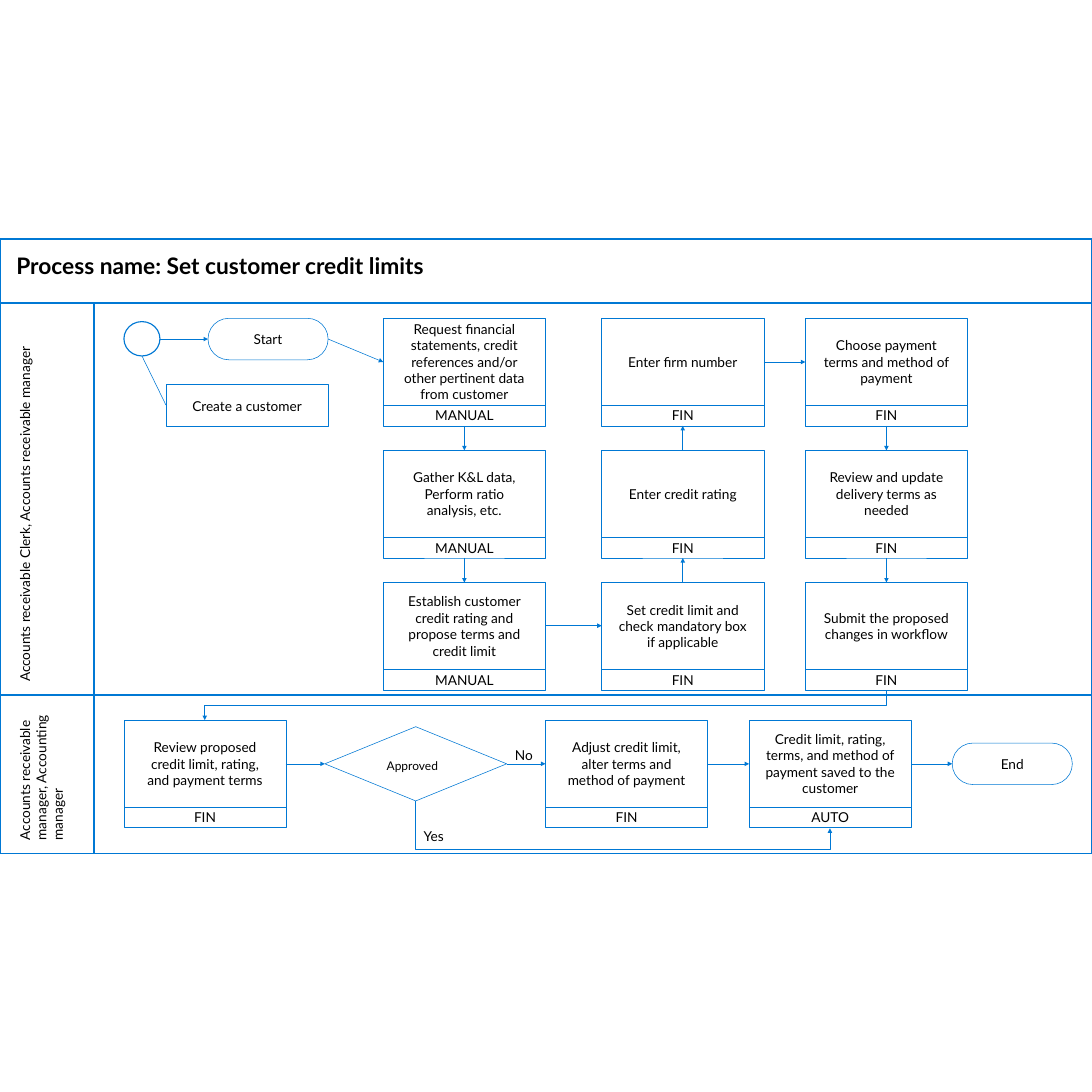
from lxml import etree
from pptx import Presentation
from pptx.dml.color import RGBColor
from pptx.enum.shapes import MSO_CONNECTOR, MSO_SHAPE
from pptx.enum.text import MSO_ANCHOR, PP_ALIGN
from pptx.oxml.ns import qn
from pptx.util import Inches, Pt

RECT, OVAL = MSO_SHAPE.RECTANGLE, MSO_SHAPE.OVAL
ROUND, DIAMOND = MSO_SHAPE.ROUNDED_RECTANGLE, MSO_SHAPE.DIAMOND
STRAIGHT, ELBOW = MSO_CONNECTOR.STRAIGHT, MSO_CONNECTOR.ELBOW
TOP, MIDDLE = MSO_ANCHOR.TOP, MSO_ANCHOR.MIDDLE
LEFT, CENTER = PP_ALIGN.LEFT, PP_ALIGN.CENTER

STEP_W, STEP_H, TAG_H = 2.97, 1.59, 0.38
BOX_H = STEP_H + TAG_H
COLUMNS = [7.02, 11.02, 14.75]
ROWS = [5.83 + 2.42 * i for i in range(3)]
REVIEW_X, ADJUST_X, SAVED_X = 2.27, 9.99, 13.72
REVIEW_Y = 13.19
MIDLINE = 13.99
LANES = [
    (5.55, 7.18, "Accounts receivable Clerk, Accounts receivable manager"),
    (12.73, 2.9, "Accounts receivable manager, Accounting manager"),
]
GRID = [
    [("Request financial statements, credit references and/or other pertinent data from customer", "MANUAL"),
     ("Enter firm number", "FIN"),
     ("Choose payment terms and method of payment", "FIN")],
    [("Gather K&L data, Perform ratio analysis, etc.", "MANUAL"),
     ("Enter credit rating", "FIN"),
     ("Review and update delivery terms as needed", "FIN")],
    [("Establish customer credit rating and propose terms and credit limit", "MANUAL"),
     ("Set credit limit and check mandatory box if applicable", "FIN"),
     ("Submit the proposed changes in workflow", "FIN")],
]
REVIEW_STEPS = [
    (REVIEW_X, "Review proposed credit limit, rating, and payment terms", "FIN"),
    (ADJUST_X, "Adjust credit limit, alter terms and method of payment", "FIN"),
    (SAVED_X, "Credit limit, rating, terms, and method of payment saved to the customer", "AUTO"),
]


class Flowchart:
    colors = {"line": "0078D4", "text": "000000"}
    font = "Lato"

    def __init__(self, slide):
        self.slide = slide

    def color(self, name):
        return RGBColor.from_string(self.colors[name])

    def add_text(self, tf, text, size, align, bold=False):
        tf.word_wrap = True
        p = tf.paragraphs[0]
        p.alignment = align
        r = p.add_run()
        r.text = text
        r.font.name = self.font
        r.font.size = Pt(size)
        r.font.bold = bold
        r.font.color.rgb = self.color("text")

    def shape(self, kind, x, y, w, h, text="", weight=0.75, size=18,
              align=CENTER, anchor=MIDDLE, bold=False, vertical=False):
        s = self.slide.shapes.add_shape(kind, Inches(x), Inches(y), Inches(w), Inches(h))
        s.shadow.inherit = False
        s.fill.background()
        s.line.color.rgb = self.color("line")
        s.line.width = Pt(weight)
        if kind == ROUND:
            s.adjustments[0] = 0.5
        if text:
            tf = s.text_frame
            tf.margin_left = tf.margin_right = Inches(0.3)
            tf.margin_top = tf.margin_bottom = Inches(0.24)
            tf.vertical_anchor = anchor
            if vertical:
                tf._txBody.bodyPr.set("vert", "vert270")
            self.add_text(tf, text, size, align, bold)

    def step(self, x, y, text, tag):
        self.shape(RECT, x, y, STEP_W, STEP_H, text)
        self.shape(RECT, x, y + STEP_H, STEP_W, TAG_H, tag)

    def line(self, x1, y1, x2, y2, arrow=True, kind=STRAIGHT):
        s = self.slide.shapes.add_connector(kind, Inches(x1), Inches(y1), Inches(x2), Inches(y2))
        s.line.color.rgb = self.color("line")
        s.line.width = Pt(0.75)
        if arrow:
            etree.SubElement(s.line._get_or_add_ln(), qn("a:tailEnd"), type="triangle")
        etree.SubElement(s._element.spPr, qn("a:effectLst"))
        return s

    def elbow(self, x1, y1, x2, y2, bend=0.5):
        cx, cy = (x1 + x2) / 2, (y1 + y2) / 2
        half_w, half_h = (y2 - y1) / 2, abs(x2 - x1) / 2
        side = 1 if x2 > x1 else -1
        s = self.line(cx + side * half_w, cy - half_h, cx - side * half_w, cy + half_h, kind=ELBOW)
        sp = s._element.spPr
        sp.find(qn("a:xfrm")).set("rot", str((270 if side > 0 else 90) * 60000))
        guides = sp.find(qn("a:prstGeom")).get_or_add_avLst()
        etree.SubElement(guides, qn("a:gd"), name="adj1", fmla=f"val {round(bend * 100000)}")

    def label(self, x, y, text):
        s = self.slide.shapes.add_textbox(Inches(x), Inches(y), Inches(0.51), Inches(0.3))
        tf = s.text_frame
        tf.margin_left = tf.margin_right = tf.margin_top = tf.margin_bottom = 0
        self.add_text(tf, text, 18, CENTER)


def main():
    prs = Presentation()
    prs.slide_width = prs.slide_height = Inches(20)
    chart = Flowchart(prs.slides.add_slide(prs.slide_layouts[6]))

    chart.shape(RECT, 0, 4.38, 20, 1.18, "Process name: Set customer credit limits",
                weight=2.25, size=30, align=LEFT, anchor=TOP, bold=True)
    for y, h, owner in LANES:
        chart.shape(RECT, 0, y, 1.73, h, owner, weight=2.25, align=LEFT, anchor=TOP, vertical=True)
        chart.shape(RECT, 1.72, y, 18.28, h, weight=2.25)

    chart.shape(OVAL, 2.27, 5.89, 0.66, 0.63, weight=1.5)
    chart.shape(RECT, 3.04, 7.04, STEP_W, 0.76, "Create a customer", anchor=TOP)
    chart.shape(ROUND, 3.81, 5.83, 2.2, 0.76, "Start")
    chart.shape(ROUND, 17.44, 13.61, 2.2, 0.76, "End")
    chart.shape(DIAMOND, 5.95, 13.31, 3.33, 1.36, "Approved", size=15.8, align=LEFT, anchor=TOP)

    for y, row in zip(ROWS, GRID):
        for x, (text, tag) in zip(COLUMNS, row):
            chart.step(x, y, text, tag)
    for x, text, tag in REVIEW_STEPS:
        chart.step(x, REVIEW_Y, text, tag)

    chart.line(2.6, 6.52, 3.04, 7.42, arrow=False)
    chart.line(2.93, 6.21, 3.81, 6.21)
    chart.line(6.01, 6.21, COLUMNS[0], 6.63)
    chart.line(COLUMNS[0] + STEP_W, 11.46, COLUMNS[1], 11.46)
    chart.line(COLUMNS[1] + STEP_W, 6.63, COLUMNS[2], 6.63)
    for upper, lower in zip(ROWS, ROWS[1:]):
        for x, upward in zip(COLUMNS, (False, True, False)):
            center = x + STEP_W / 2
            start, end = (lower, upper + BOX_H) if upward else (upper + BOX_H, lower)
            chart.line(center, start, center, end)
    for x1, x2 in ((5.23, 5.95), (9.28, ADJUST_X), (12.96, SAVED_X), (16.69, 17.44)):
        chart.line(x1, MIDLINE, x2, MIDLINE)
    chart.elbow(16.23, 12.64, 3.75, REVIEW_Y)
    chart.elbow(7.61, 14.67, 15.2, 15.17, bend=1.76)

    chart.label(9.34, 13.68, "No")
    chart.label(7.69, 15.17, "Yes")
    prs.save("out.pptx")


if __name__ == "__main__":
    main()
